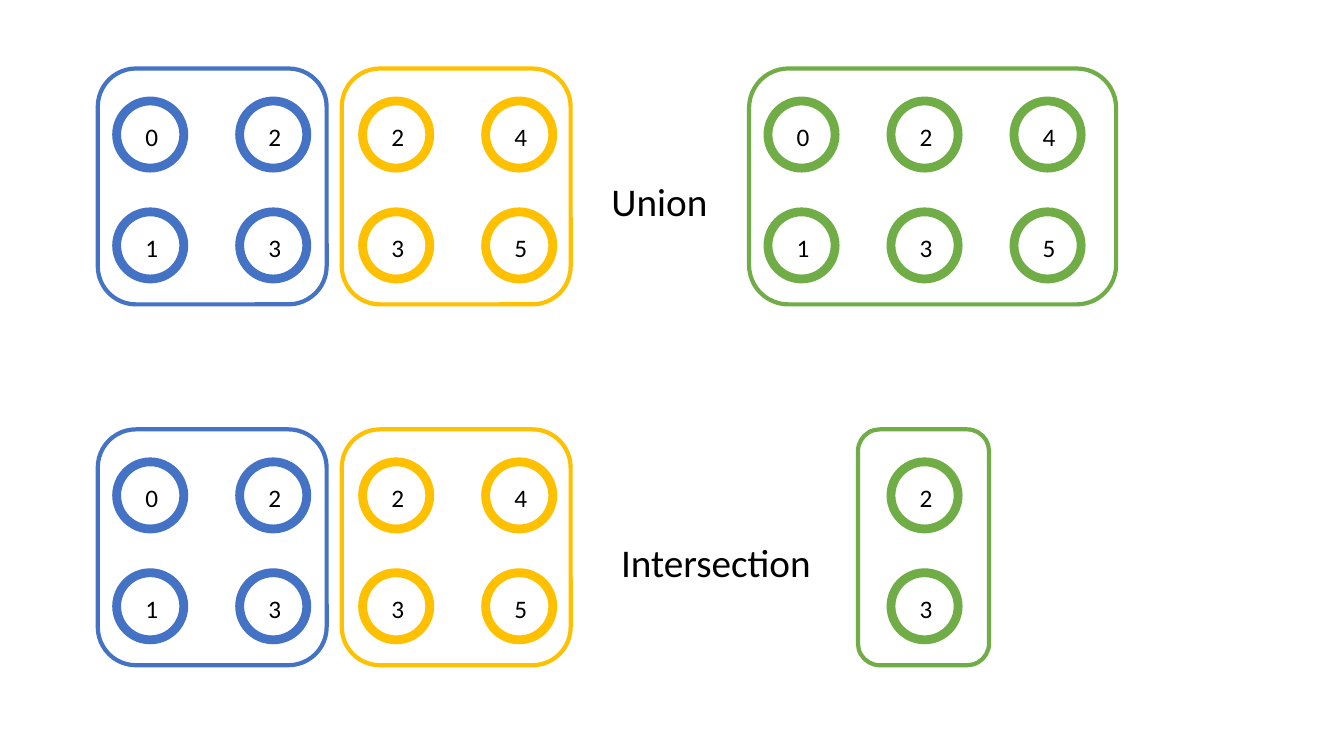
from pptx import Presentation
from pptx.dml.color import RGBColor
from pptx.enum.shapes import MSO_SHAPE
from pptx.enum.text import MSO_ANCHOR, MSO_AUTO_SIZE, PP_ALIGN
from pptx.util import Inches, Pt

DONUT = MSO_SHAPE.DONUT
ROUNDED = MSO_SHAPE.ROUNDED_RECTANGLE
MIDDLE = MSO_ANCHOR.MIDDLE
GROW = MSO_AUTO_SIZE.SHAPE_TO_FIT_TEXT
CENTER = PP_ALIGN.CENTER

BLUE = RGBColor(0x44, 0x72, 0xC4)
GOLD = RGBColor(0xFF, 0xC0, 0x00)
GREEN = RGBColor(0x70, 0xAD, 0x47)
BLACK = RGBColor(0, 0, 0)

FONT = "Calibri"
RING_SIZE = 0.74
COLUMN_STEP = 1.22
ROW_STEP = 1.1
RING_INSET = 0.285
FRAME_HEIGHT = 2.34
PAIR_WIDTH = 2.27


def add_label(shapes, wording, left, top, width, height, size, wrap):
    label = shapes.add_textbox(Inches(left), Inches(top), Inches(width), Inches(height))
    frame = label.text_frame
    frame.word_wrap = wrap
    frame.auto_size = GROW
    frame.vertical_anchor = MIDDLE
    paragraph = frame.paragraphs[0]
    paragraph.alignment = CENTER
    run = paragraph.add_run()
    run.text = wording
    run.font.name = FONT
    run.font.size = Pt(size)
    run.font.color.rgb = BLACK


def add_member(slide, number, left, top, color):
    member = slide.shapes.add_group_shape()
    ring = member.shapes.add_shape(
        DONUT, Inches(left), Inches(top), Inches(RING_SIZE), Inches(RING_SIZE))
    ring.adjustments[0] = 0.1
    ring.shadow.inherit = False
    ring.fill.solid()
    ring.fill.fore_color.rgb = color
    ring.line.color.rgb = color
    ring.line.width = Pt(1)
    add_label(member.shapes, str(number), left + 0.22, top + 0.19, 0.33, 0.4, 18, False)


def add_frame(slide, left, top, width, color):
    frame = slide.shapes.add_shape(
        ROUNDED, Inches(left), Inches(top), Inches(width), Inches(FRAME_HEIGHT))
    frame.shadow.inherit = False
    frame.fill.background()
    frame.line.color.rgb = color
    frame.line.width = Pt(3)


def add_set(slide, columns, first_ring, left, top, width, color):
    for column, numbers in enumerate(columns):
        for row, number in enumerate(numbers):
            add_member(slide, number, first_ring + column * COLUMN_STEP,
                       top + RING_INSET + row * ROW_STEP, color)
    add_frame(slide, left, top, width, color)


def add_operation(slide, top, name, name_left, name_width, result, first_ring, left, width):
    add_set(slide, [(0, 1), (2, 3)], 1.12, 0.97, top, PAIR_WIDTH, BLUE)
    add_set(slide, [(2, 3), (4, 5)], 3.56, 3.39, top, PAIR_WIDTH, GOLD)
    add_set(slide, result, first_ring, left, top, width, GREEN)
    add_label(slide.shapes, name, name_left, top + 1.03, name_width, 0.57, 28, True)


def main():
    deck = Presentation()
    deck.slide_width = Inches(13.33)
    deck.slide_height = Inches(7.5)
    slide = deck.slides.add_slide(deck.slide_layouts[6])
    add_operation(slide, 0.68, "Union", 5.95, 1.18,
                  [(0, 1), (2, 3), (4, 5)], 7.58, 7.43, 3.64)
    add_operation(slide, 4.26, "Intersection", 5.83, 2.54,
                  [(2, 3)], 8.8, 8.51, 1.3)
    deck.save("out.pptx")


main()
